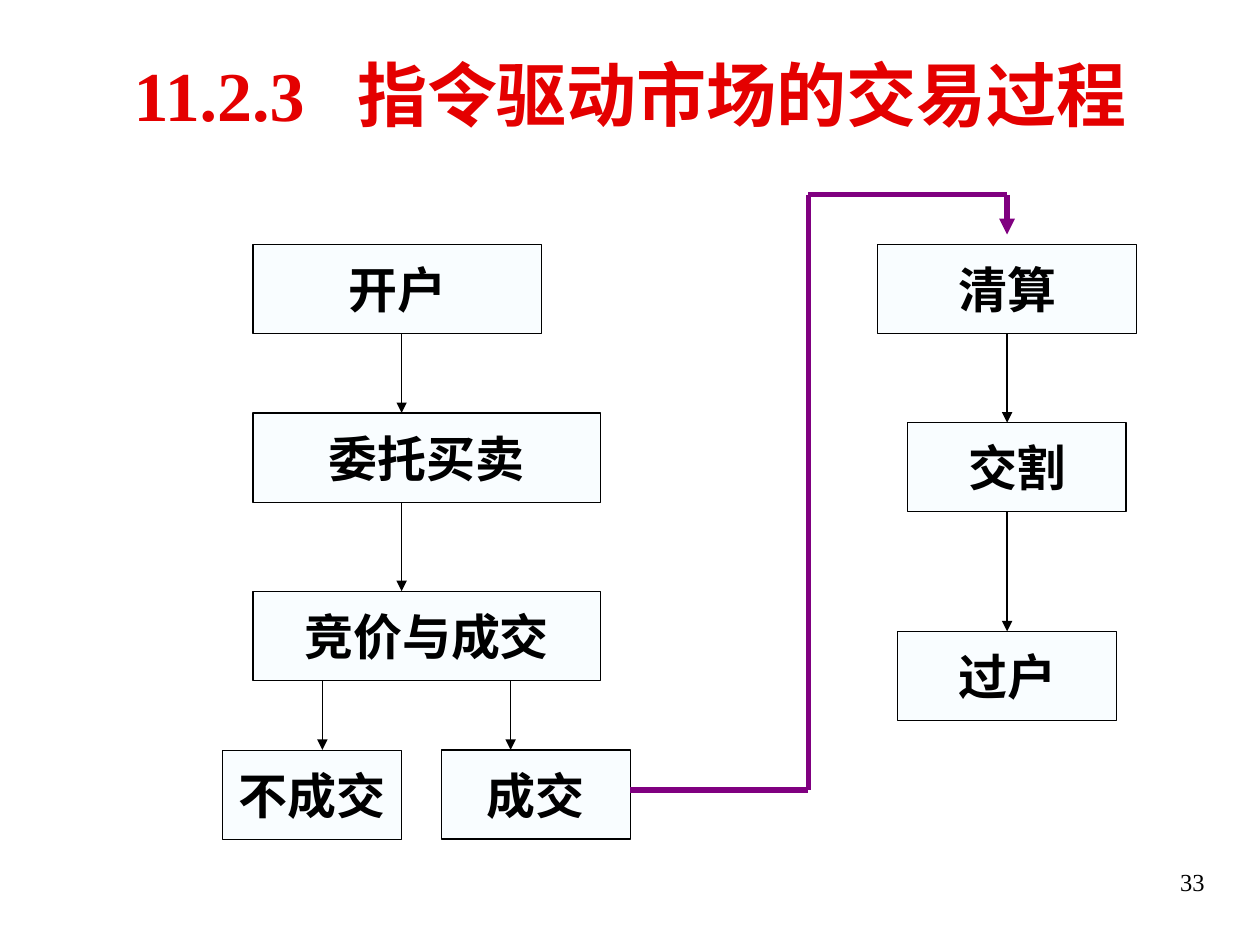
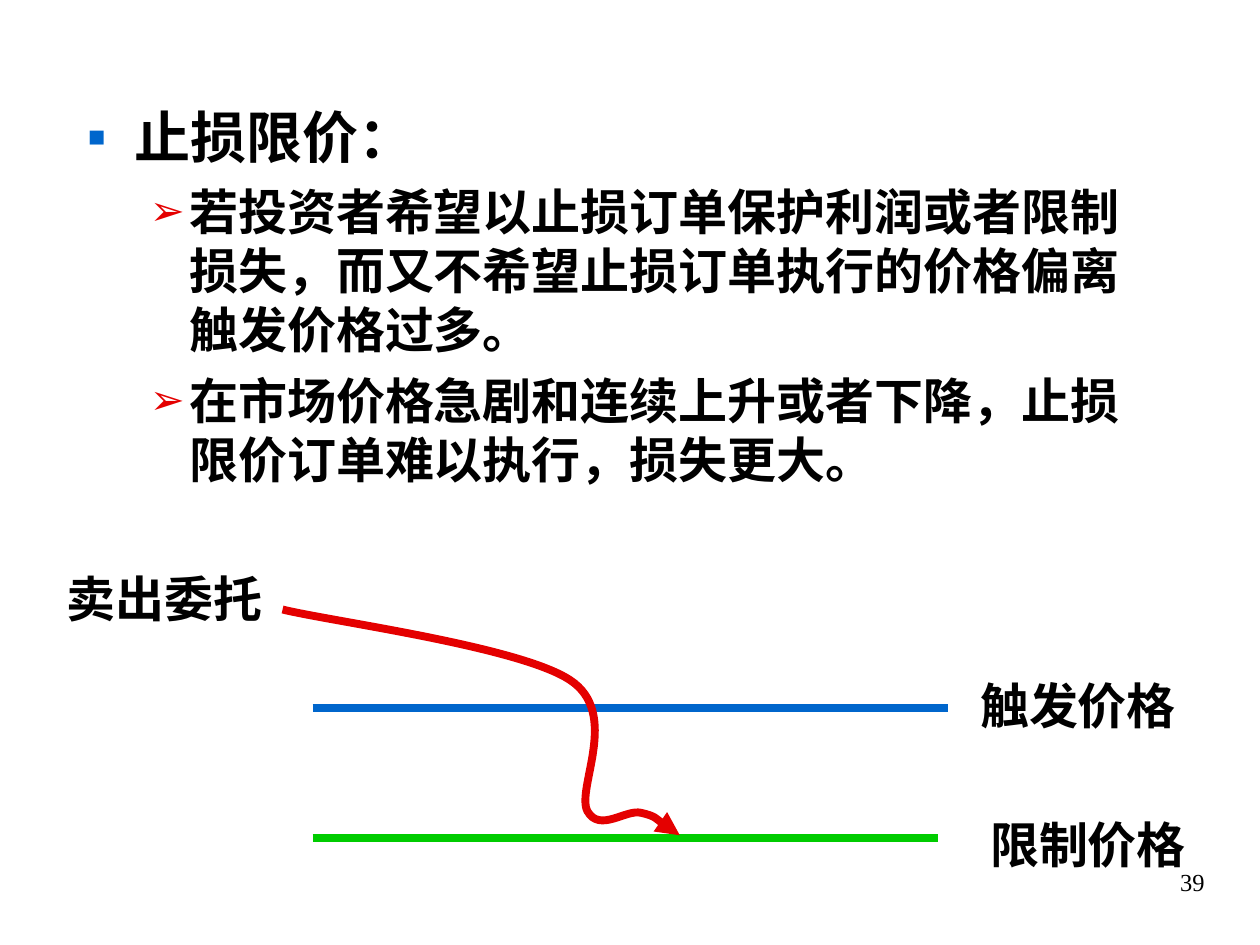
"""Build two slides on order-driven trading and stop-limit orders."""
import dataclasses

import lxml.etree
import pptx
import pptx.dml.color
import pptx.enum.lang
import pptx.enum.shapes
import pptx.enum.text
import pptx.oxml.ns
import pptx.util

Pt = pptx.util.Pt
qn = pptx.oxml.ns.qn
ALIGN = pptx.enum.text.PP_ALIGN
ANCHOR = pptx.enum.text.MSO_ANCHOR


@dataclasses.dataclass(frozen=True)
class Theme:
    black: str = "000000"
    red: str = "E40000"
    blue: str = "0066CC"
    green: str = "00CC00"
    purple: str = "800080"
    box_fill: str = "E1F4FF"
    box_opacity: int = 17
    serif: str = "Times New Roman"
    sans: str = "Arial"
    title_size: int = 40
    heading_size: int = 32
    text_size: int = 28
    number_size: int = 14
    thin: float = 0.75
    medium: float = 3
    thick: float = 4.5


def rgb(color):
    return pptx.dml.color.RGBColor.from_string(color)


def add_element(parent, tag, **attributes):
    element = lxml.etree.SubElement(parent, qn(tag))
    for name, value in attributes.items():
        element.set(name, str(value))
    return element


def write_text(paragraph, text, *, size, font, color, bold=True,
               align=ALIGN.LEFT, before=0, spacing=None):
    paragraph.alignment = align
    paragraph.space_before = Pt(before)
    run = paragraph.add_run()
    run.text = text
    run.font.size = Pt(size)
    run.font.name = font
    run.font.bold = bold
    run.font.color.rgb = rgb(color)
    run.font.language_id = pptx.enum.lang.MSO_LANGUAGE_ID.SIMPLIFIED_CHINESE
    if spacing:
        run.font._element.set("spc", str(spacing * 100))


class SlideBuilder:
    def __init__(self, presentation, theme):
        self.presentation = presentation
        self.theme = theme
        self.slide = None

    def start(self, layout, number):
        self.slide = self.presentation.slides.add_slide(
            self.presentation.slide_layouts[layout])
        self.text_box(number, 515.5, 491.8, 180, 37.5, align=ALIGN.RIGHT,
                      size=self.theme.number_size, font=self.theme.serif, bold=False)

    def place(self, shape, left, top, width, height, anchor):
        shape.left, shape.top = Pt(left), Pt(top)
        shape.width, shape.height = Pt(width), Pt(height)
        frame = shape.text_frame
        frame.auto_size = pptx.enum.text.MSO_AUTO_SIZE.NONE
        frame.word_wrap = True
        frame.vertical_anchor = anchor
        return frame

    def title(self, number, heading):
        frame = self.place(self.slide.shapes.title, 24, 18, 672, 70.5, ANCHOR.MIDDLE)
        for text, spacing in ((number, None), (" ", 20), (heading, None)):
            write_text(frame.paragraphs[0], text, size=self.theme.title_size,
                       font=self.theme.serif, color=self.theme.red,
                       align=ALIGN.CENTER, spacing=spacing)

    def remove_title(self):
        element = self.slide.shapes.title._element
        element.getparent().remove(element)

    def bullets(self, heading, points):
        theme = self.theme
        frame = self.place(self.slide.placeholders[1], 42.5, 54.7, 617.8, 255, ANCHOR.TOP)
        heading_style = (0, 27, -27, "▪", theme.blue, 100, theme.heading_size, 0)
        point_style = (1, 58.5, -22.5, "➢", theme.red, 85, theme.text_size, 7)
        rows = [(heading, heading_style)] + [(point, point_style) for point in points]
        for index, (text, style) in enumerate(rows):
            level, margin, indent, mark, color, percent, size, before = style
            paragraph = frame.add_paragraph() if index else frame.paragraphs[0]
            paragraph.level = level
            properties = paragraph._p.get_or_add_pPr()
            properties.set("marL", str(Pt(margin)))
            properties.set("indent", str(Pt(indent)))
            add_element(add_element(properties, "a:buClr"), "a:srgbClr", val=color)
            add_element(properties, "a:buSzPct", val=percent * 1000)
            add_element(properties, "a:buFont", typeface=theme.sans)
            add_element(properties, "a:buChar", char=mark)
            write_text(paragraph, text, size=size, font=theme.serif,
                       color=theme.black, before=before)

    def text_box(self, text, left, top, width, height, **text_format):
        shape = self.slide.shapes.add_textbox(0, 0, 0, 0)
        frame = self.place(shape, left, top, width, height, ANCHOR.TOP)
        style = dict(size=self.theme.text_size, font=self.theme.sans,
                     color=self.theme.black)
        write_text(frame.paragraphs[0], text, **(style | text_format))

    def box(self, text, left, top, width, height=51):
        shape = self.slide.shapes.add_shape(
            pptx.enum.shapes.MSO_SHAPE.RECTANGLE, 0, 0, 0, 0)
        frame = self.place(shape, left, top, width, height, ANCHOR.MIDDLE)
        frame.word_wrap = False
        shape.shadow.inherit = False
        shape.fill.solid()
        shape.fill.fore_color.rgb = rgb(self.theme.box_fill)
        color = shape._element.spPr.find(qn("a:solidFill"))[0]
        add_element(color, "a:alpha", val=self.theme.box_opacity * 1000)
        self.outline(shape, self.theme.black, self.theme.thin)
        write_text(frame.paragraphs[0], text, size=self.theme.text_size,
                   font=self.theme.sans, color=self.theme.black, align=ALIGN.CENTER)
        return shape

    def outline(self, shape, color, width, arrow=False):
        shape.line.color.rgb = rgb(color)
        shape.line.width = Pt(width)
        if arrow:
            add_element(shape.line._get_or_add_ln(), "a:tailEnd", type="triangle")

    def line(self, start, end, color, width, arrow=False):
        connector = self.slide.shapes.add_connector(
            pptx.enum.shapes.MSO_CONNECTOR.STRAIGHT, *map(Pt, start + end))
        self.outline(connector, color, width, arrow)
        add_element(connector._element.spPr, "a:effectLst")
        return connector

    def arrow_down(self, x, top, bottom):
        return self.line((x, top), (x, bottom), self.theme.black, self.theme.thin, True)

    def curve(self, points, color, width):
        start, *rest = [(Pt(x), Pt(y)) for x, y in points]
        builder = self.slide.shapes.build_freeform(*start)
        builder.add_line_segments(rest, close=False)
        shape = builder.convert_to_shape()
        shape.shadow.inherit = False
        shape.fill.background()
        self.outline(shape, color, width, arrow=True)
        segments = list(shape._element.iter(qn("a:lnTo")))
        outline = segments[0].getparent()
        for index in range(0, len(segments), 3):
            bezier = add_element(outline, "a:cubicBezTo")
            for segment in segments[index:index + 3]:
                bezier.append(segment[0])
                outline.remove(segment)


def build_trading_process(builder):
    theme = builder.theme
    builder.start(5, "33")
    builder.title("11.2.3", "指令驱动市场的交易过程")

    builder.box("开户", 144.5, 139.7, 165)
    builder.box("委托买卖", 144.5, 236, 198.5)
    builder.box("竞价与成交", 144.5, 337.8, 198.5)
    builder.box("不成交", 127.3, 428.8, 102.3)
    builder.box("成交", 252.2, 428.5, 108)
    for x, top, bottom in ((229.5, 190.7, 236), (229.5, 287, 337.8),
                           (184.2, 388.8, 428.5), (291.8, 388.8, 428.5)):
        builder.arrow_down(x, top, bottom)

    settlement_x = 575.5
    route = [(360, 451.5), (462, 451.5), (462, 111.3),
             (settlement_x, 111.3), (settlement_x, 134)]
    for start, end in zip(route, route[1:]):
        builder.line(start, end, theme.purple, theme.medium, end == route[-1])

    clearing = builder.box("清算", 501.5, 139.7, 148)
    builder.box("交割", 518.7, 241.5, 124.8)
    transfer = builder.box("过户", 513, 360.8, 125)
    builder.arrow_down(settlement_x, 190.7, 241.5).begin_connect(clearing, 2)
    builder.arrow_down(settlement_x, 292.5, 360.8).end_connect(transfer, 0)


def build_stop_limit(builder):
    theme = builder.theme
    builder.start(1, "39")
    builder.remove_title()
    builder.bullets("止损限价：", (
        "若投资者希望以止损订单保护利润或者限制损失，而又不希望止损订单执行的价格偏离触发价格过多。",
        "在市场价格急剧和连续上升或者下降，止损限价订单难以执行，损失更大。"))

    for y, right, color in ((404.8, 541.5, theme.blue), (478.7, 536, theme.green)):
        builder.line((178.7, y), (right, y), color, theme.thick)
    for label, left, top, width in (("触发价格", 553, 382.3, 130.3),
                                    ("限制价格", 558.7, 461.7, 130.3),
                                    ("卖出委托", 31, 321.2, 142)):
        builder.text_box(label, left, top, width, 41)
    builder.curve(
        [(161.5, 348.3),
         (188.6, 355), (296.6, 369.4), (325.6, 388.5),
         (355, 407.5), (329, 450.7), (335.7, 463.5),
         (342.7, 476), (357.8, 462.2), (366.5, 464.5),
         (375, 466.5), (383.8, 474.5), (388.5, 477.3)],
        theme.red, theme.thick)


def main():
    presentation = pptx.Presentation()
    presentation.slide_width, presentation.slide_height = Pt(720), Pt(540)
    builder = SlideBuilder(presentation, Theme())
    build_trading_process(builder)
    build_stop_limit(builder)
    presentation.save("out.pptx")


if __name__ == "__main__":
    main()
